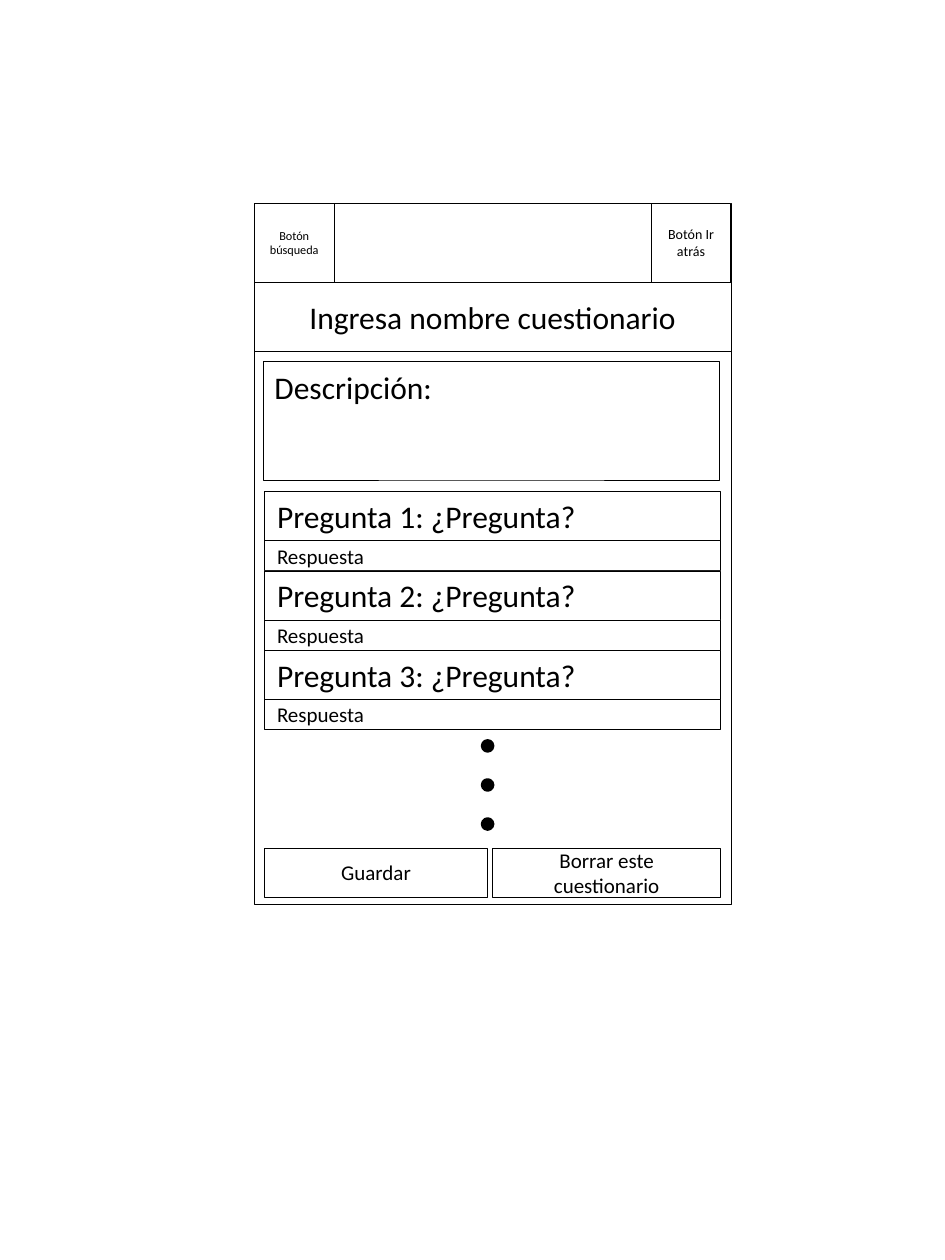
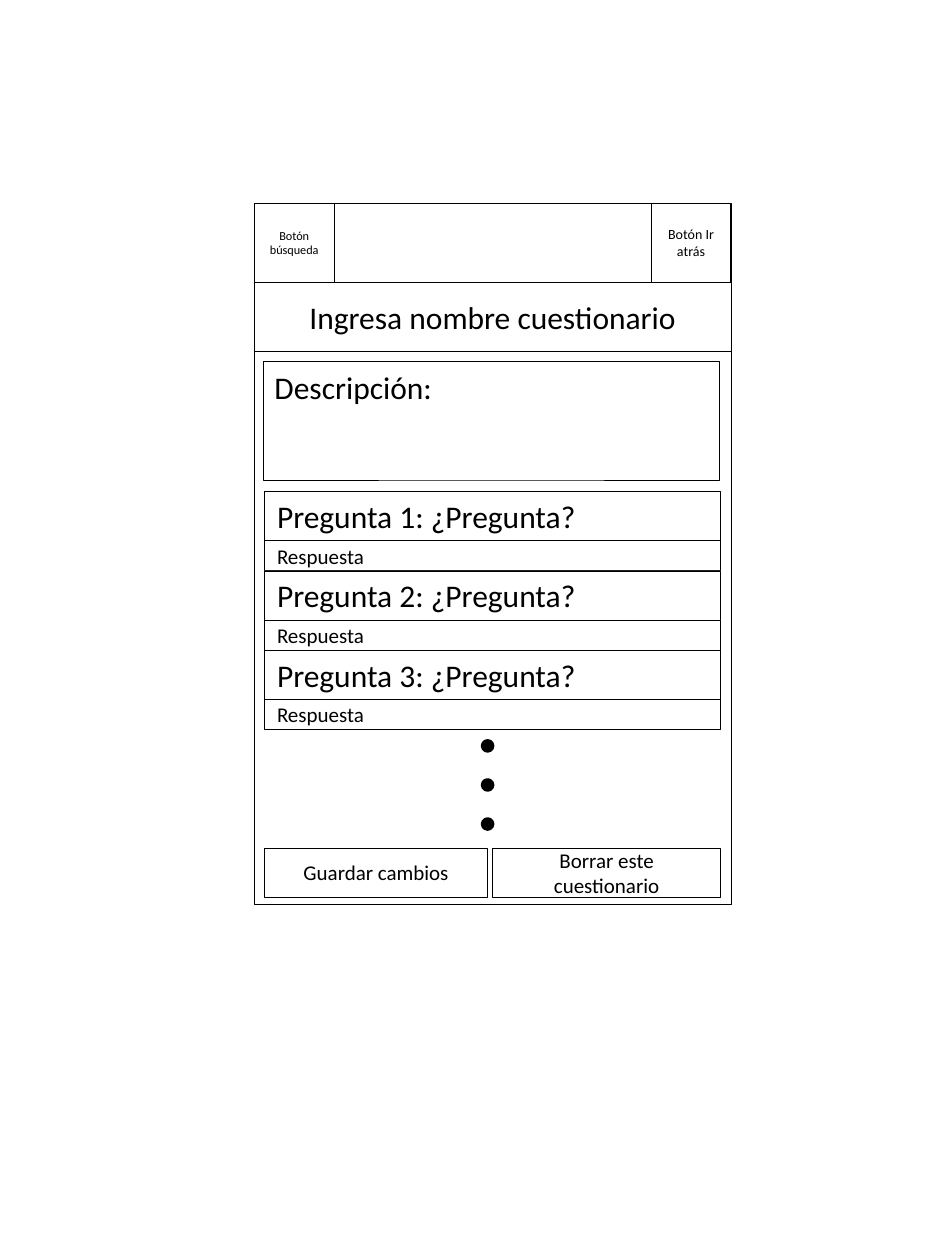
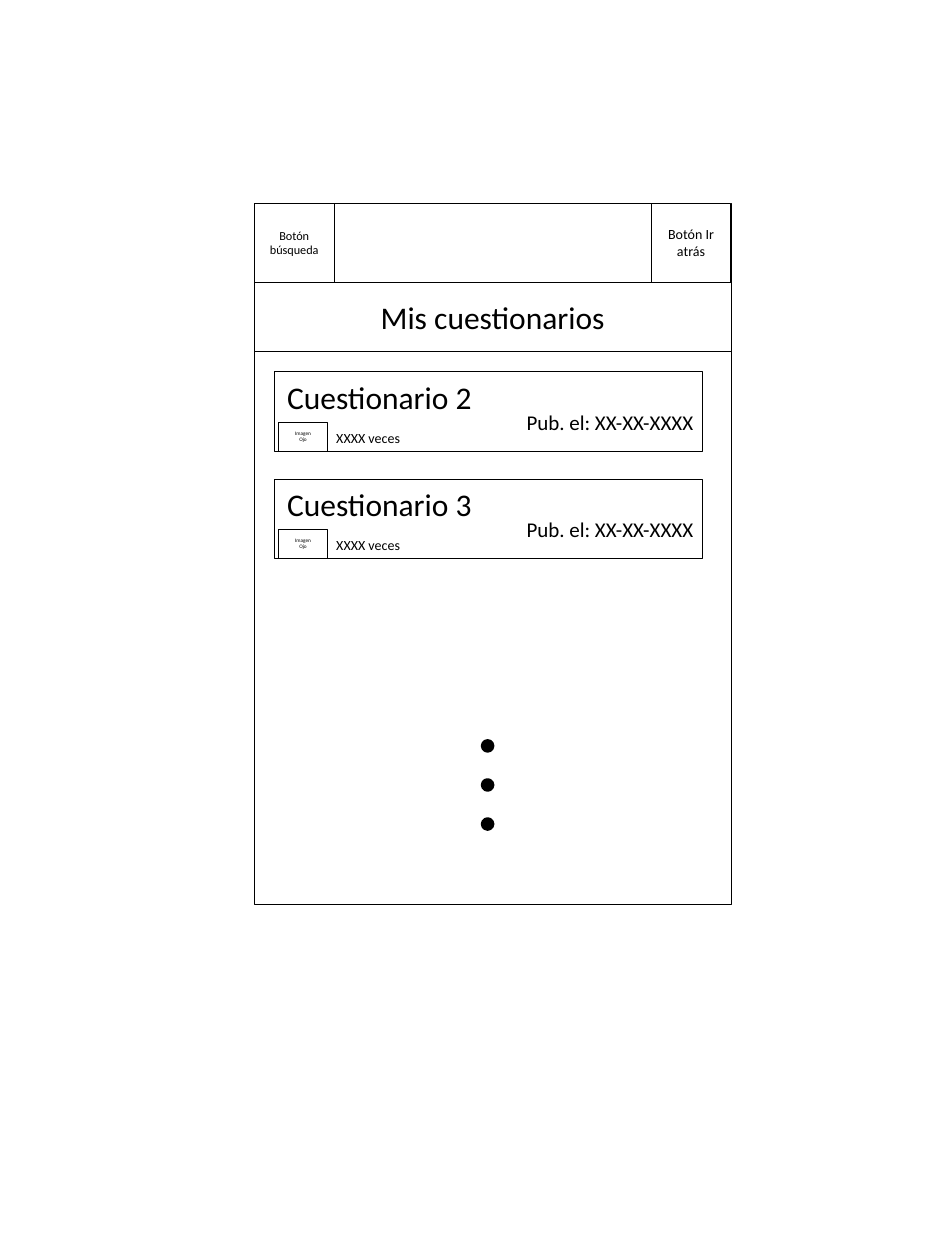
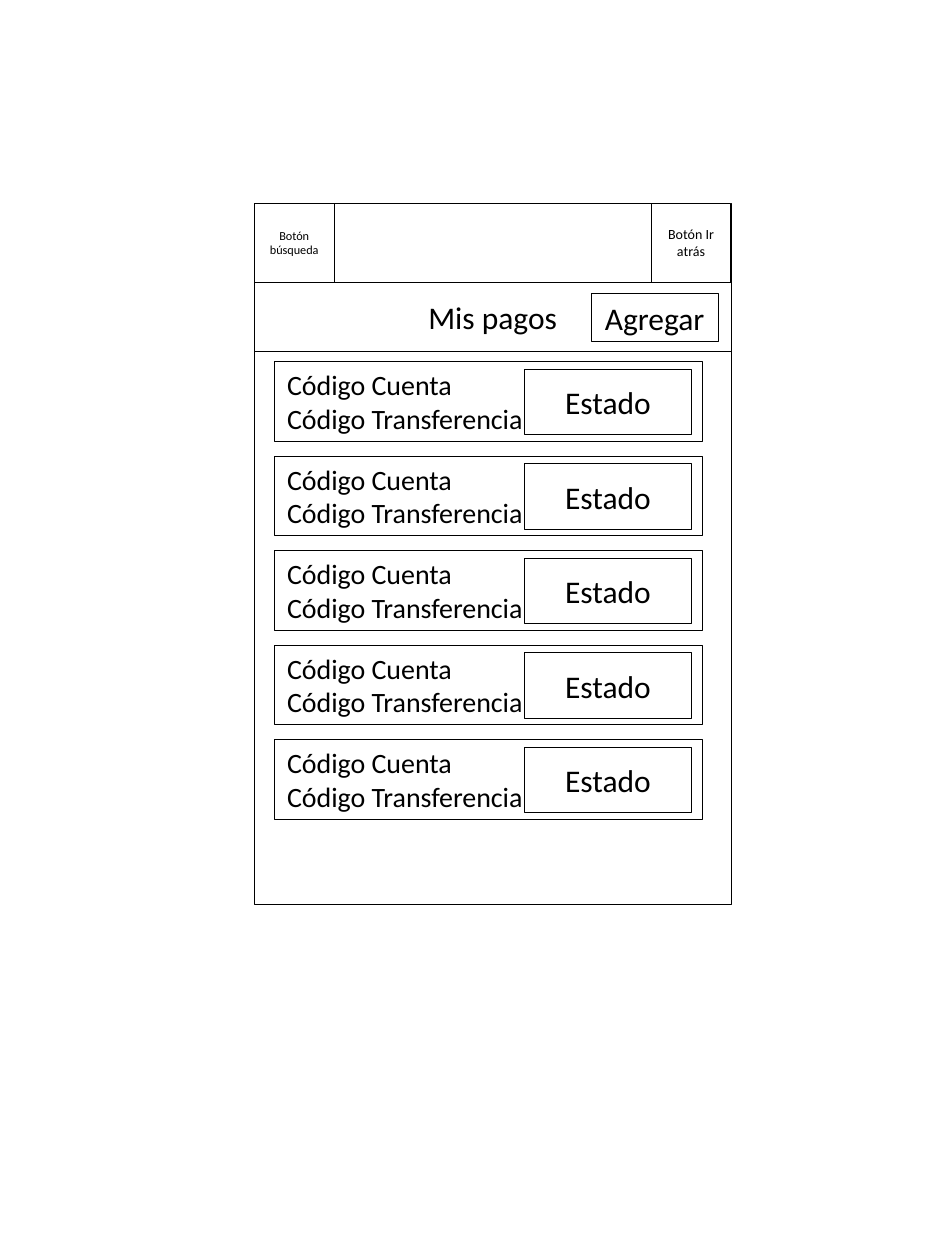
import collections

import pptx
import pptx.dml.color
import pptx.enum.shapes
import pptx.enum.text
import pptx.util

Inches = pptx.util.Inches
Align = pptx.enum.text.PP_ALIGN
Anchor = pptx.enum.text.MSO_ANCHOR
AutoSize = pptx.enum.text.MSO_AUTO_SIZE
Preset = pptx.enum.shapes.MSO_SHAPE
Box = collections.namedtuple("Box", "left top width height")

COLORS = {"paper": "FFFFFF", "ink": "000000"}
FONT = "Calibri"
TITLE_ONLY = 5
PHONE = Box(2.02, 1.61, 3.78, 5.57)
BAR_HEIGHT = 0.63
TITLE_HEIGHT = 0.55


def inside(box, left, top, width, height):
    return Box(box.left + left, box.top + top, width, height)


def color(name):
    return pptx.dml.color.RGBColor.from_string(COLORS[name])


def paint(shape, fill="paper", line_width=0.25):
    shape.fill.solid()
    shape.fill.fore_color.rgb = color(fill)
    shape.line.color.rgb = color("ink")
    shape.line.width = pptx.util.Pt(line_width)


def write(shape, lines, size, align, anchor, auto_size=AutoSize.NONE):
    frame = shape.text_frame
    frame.word_wrap = True
    frame.auto_size = auto_size
    frame.vertical_anchor = anchor
    for index, line in enumerate(lines):
        para = frame.add_paragraph() if index else frame.paragraphs[0]
        para.alignment = align
        span = para.add_run()
        span.text = line
        span.font.name = FONT
        span.font.size = pptx.util.Pt(size)
        span.font.color.rgb = color("ink")


def add_panel(page, box, lines=(), size=18, align=Align.CENTER):
    panel = page.shapes.add_shape(Preset.RECTANGLE, *map(Inches, box))
    panel.shadow.inherit = False
    paint(panel)
    write(panel, lines, size, align, Anchor.MIDDLE)


def add_label(page, box, lines, size, align=Align.LEFT):
    label = page.shapes.add_textbox(*map(Inches, box))
    write(label, lines, size, align, Anchor.TOP, AutoSize.SHAPE_TO_FIT_TEXT)


def add_title(page, box, text):
    title = page.shapes.title
    title.left, title.top, title.width, title.height = map(Inches, box)
    paint(title)
    write(title, [text], 18, Align.CENTER, Anchor.MIDDLE)
    title.element.getparent().append(title.element)


def add_screen(deck, phone, title):
    page = deck.slides.add_slide(deck.slide_layouts[TITLE_ONLY])
    body_top = BAR_HEIGHT + 0.04
    add_panel(page, inside(phone, 0, 0, phone.width, BAR_HEIGHT))
    add_panel(page, inside(phone, 0, body_top, phone.width, phone.height - body_top))
    add_title(page, inside(phone, 0, BAR_HEIGHT, phone.width, TITLE_HEIGHT), title)
    add_panel(page, inside(phone, 0, 0, BAR_HEIGHT, BAR_HEIGHT), ["Botón", "búsqueda"], 7)
    back_left = phone.width - BAR_HEIGHT
    add_panel(page, inside(phone, back_left, 0, BAR_HEIGHT, BAR_HEIGHT), ["Botón Ir atrás"], 8)
    return page


def add_dots(page, phone):
    for index in range(3):
        box = inside(phone, 1.81, 4.27 + index * 0.31, 0.08, 0.08)
        dot = page.shapes.add_shape(Preset.OVAL, *map(Inches, box))
        dot.shadow.inherit = False
        paint(dot, "ink", 2)


def add_question(page, box, number):
    question = inside(box, 0, 0, box.width, 0.39)
    answer = inside(box, 0, 0.39, box.width, box.height - 0.39)
    add_panel(page, question, [f"Pregunta {number}: ¿Pregunta?"], 18, Align.LEFT)
    add_panel(page, answer, ["Respuesta"], 12, Align.LEFT)


def add_quiz_card(page, box, number):
    add_panel(page, box)
    add_label(page, inside(box, 0, 0, 1.85, 0.4), [f"Cuestionario {number}"], 18)
    add_label(page, inside(box, 1.65, 0.25, 1.81, 0.3), ["Pub. el: XX-XX-XXXX "], 12, Align.RIGHT)
    add_label(page, inside(box, 0.39, 0.41, 0.85, 0.24), ["XXXX veces"], 8)
    add_panel(page, inside(box, 0.03, 0.4, 0.39, 0.23), ["Imagen", "Ojo"], 3)


def add_payment(page, box):
    add_panel(page, box)
    add_label(page, inside(box, 0, 0, 2.52, 0.64), ["Código Cuenta", "Código Transferencia"], 16)
    add_panel(page, inside(box, 1.98, 0.06, 1.33, 0.52), ["Estado"])


def build_editor(deck, phone, save_text):
    page = add_screen(deck, phone, "Ingresa nombre cuestionario")
    for index in range(3):
        add_question(page, inside(phone, 0.08, 2.29 + index * 0.63, 3.62, 0.63), index + 1)
    add_dots(page, phone)
    add_panel(page, inside(phone, 0.08, 5.12, 1.77, 0.39), [save_text], 12)
    add_panel(page, inside(phone, 1.89, 5.12, 1.81, 0.39), ["Borrar este cuestionario"], 12)
    add_panel(page, inside(phone, 0.07, 1.26, 3.62, 0.94))
    add_label(page, inside(phone, 0.06, 1.26, 1.85, 0.4), ["Descripción:"], 18)


def build_quiz_list(deck, phone):
    page = add_screen(deck, phone, "Mis cuestionarios")
    add_dots(page, phone)
    for index, number in enumerate((2, 3)):
        add_quiz_card(page, inside(phone, 0.16, 1.34 + index * 0.85, 3.39, 0.63), number)


def build_payments(deck, phone):
    page = add_screen(deck, phone, "Mis pagos")
    add_panel(page, inside(phone, 2.67, 0.72, 1.01, 0.38), ["Agregar"])
    for index in range(5):
        add_payment(page, inside(phone, 0.16, 1.26 + index * 0.75, 3.39, 0.63))


def main():
    deck = pptx.Presentation()
    deck.slide_width = Inches(7.5)
    deck.slide_height = Inches(10)
    for save_text in ("Guardar", "Guardar cambios"):
        build_editor(deck, PHONE, save_text)
    build_quiz_list(deck, PHONE)
    build_payments(deck, PHONE)
    deck.save("out.pptx")


if __name__ == "__main__":
    main()
